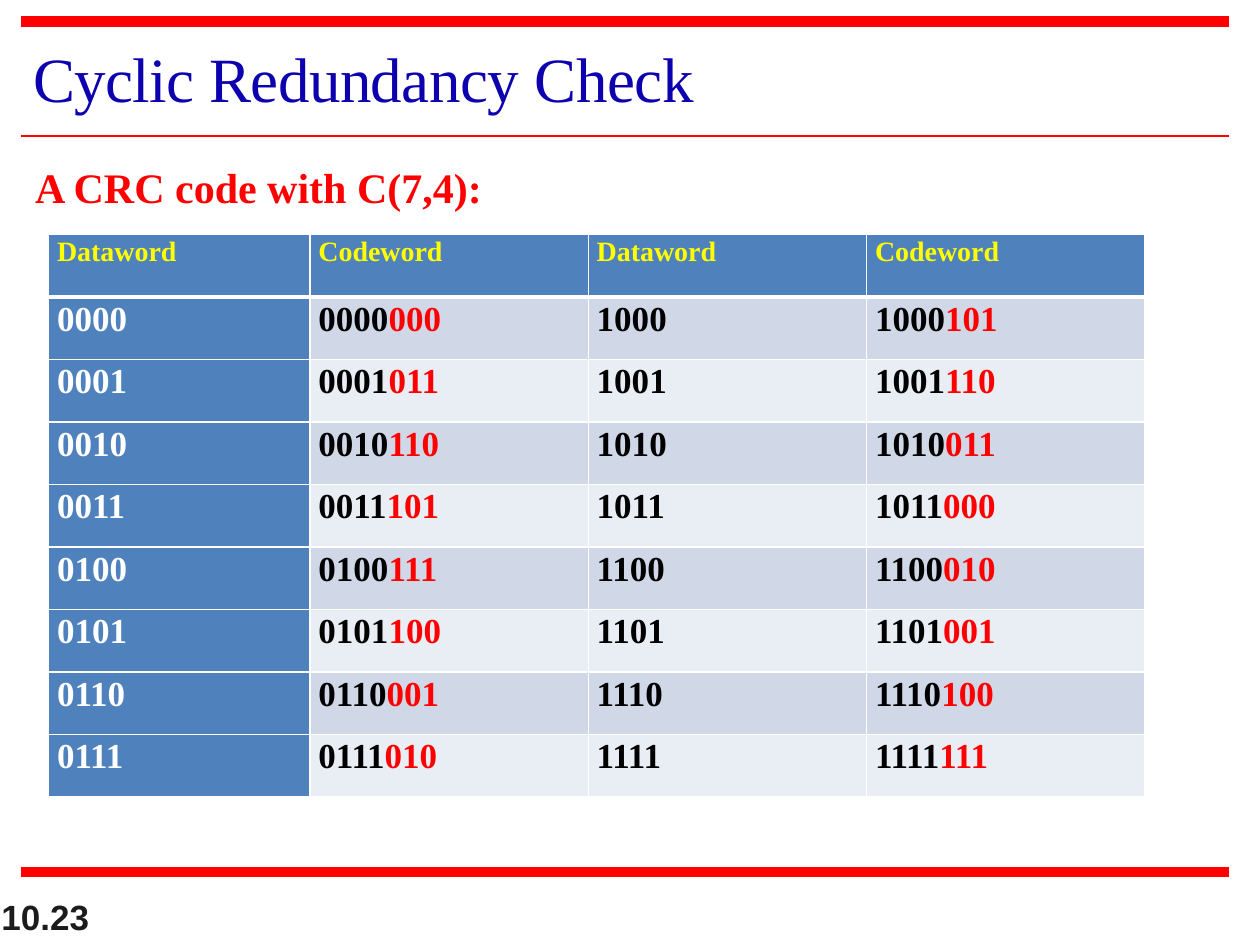
from lxml.etree import SubElement
from pptx import Presentation
from pptx.dml.color import RGBColor
from pptx.enum.shapes import MSO_CONNECTOR as Connector
from pptx.enum.text import MSO_ANCHOR as Anchor, MSO_AUTO_SIZE as AutoSize, PP_ALIGN as Align
from pptx.oxml.ns import qn
from pptx.util import Cm, Pt

RED = RGBColor(0xFF, 0x00, 0x00)
NAVY = RGBColor(0x0D, 0x00, 0xAE)
BLUE = RGBColor(0x4F, 0x81, 0xBD)
YELLOW = RGBColor(0xFF, 0xFF, 0x00)
WHITE = RGBColor(0xFF, 0xFF, 0xFF)
BLACK = RGBColor(0x00, 0x00, 0x00)
CHARCOAL = RGBColor(0x1C, 0x1C, 0x1C)
BANDS = (RGBColor(0xD0, 0xD8, 0xE8), RGBColor(0xE9, 0xED, 0xF4))

SERIF = "Times New Roman"
HEADINGS = ("Dataword", "Codeword") * 2
CHECK_BITS = (
    "000", "011", "110", "101", "111", "100", "001", "010",
    "101", "110", "011", "000", "010", "001", "100", "111",
)
HALF = len(CHECK_BITS) // 2


def add_run(paragraph, text, size, color, bold=True, font=SERIF, spacing=None):
    run = paragraph.add_run()
    run.text = text
    run.font.name = font
    run.font.size = Pt(size)
    run.font.bold = bold
    run.font.color.rgb = color
    if spacing is not None:
        run.font._element.set("spc", str(spacing))


def add_rule(slide, top, width):
    rule = slide.shapes.add_connector(Connector.STRAIGHT, Cm(0.43), Cm(top), Cm(24.77), Cm(top))
    rule.line.color.rgb = RED
    rule.line.width = Pt(width)
    SubElement(rule._element.spPr, qn("a:effectLst"))


def place(shape, left, top, width, height):
    shape.left, shape.top, shape.width, shape.height = map(Cm, (left, top, width, height))


def clear_margins(frame):
    frame.margin_left = frame.margin_top = frame.margin_right = frame.margin_bottom = 0


def add_title(slide):
    title = slide.shapes.title
    place(title, 0.64, 0.76, 13.97, 1.6)
    frame = title.text_frame
    clear_margins(frame)
    frame.margin_top = Cm(0.03)
    frame.vertical_anchor = Anchor.TOP
    frame.auto_size = AutoSize.NONE
    paragraph = frame.paragraphs[0]
    paragraph.alignment = Align.LEFT
    paragraph.space_before = Pt(1)
    paragraph._p.get_or_add_pPr().set("marL", str(Cm(0.03)))
    for text, spacing in (("Cyclic ", -40), ("Redundancy ", -30), ("Check", -20)):
        add_run(paragraph, text, 36, NAVY, bold=False, spacing=spacing)


def add_text_box(slide, left, top, width, height):
    box = slide.shapes.add_textbox(Cm(left), Cm(top), Cm(width), Cm(height))
    box.text_frame.word_wrap = True
    return box.text_frame


def add_subtitle(slide):
    paragraph = add_text_box(slide, 0.46, 3.07, 10.8, 1.3).paragraphs[0]
    paragraph.line_spacing = 1.07
    paragraph.space_after = Pt(8)
    add_run(paragraph, "A CRC code with C(7,4):", 24, RED)


def add_page_number(slide):
    frame = add_text_box(slide, 0, 18.08, 1.9, 0.86)
    clear_margins(frame)
    paragraph = frame.paragraphs[0]
    paragraph.line_spacing = Pt(23.1)
    paragraph._p.get_or_add_pPr().set("marL", str(Cm(0.03)))
    add_run(paragraph, "10.23", 20, CHARCOAL, font="Arial")


def set_borders(cell, widths):
    properties = cell._tc.get_or_add_tcPr()
    for side, width in zip("LRTB", widths):
        line = SubElement(properties, qn(f"a:ln{side}"), w=str(Pt(width)))
        fill = SubElement(line, qn("a:solidFill"))
        SubElement(fill, qn("a:srgbClr"), val=str(WHITE))


def fill_cell(cell, background, runs, size, borders=(1, 1, 1, 1)):
    set_borders(cell, borders)
    cell.fill.solid()
    cell.fill.fore_color.rgb = background
    cell.margin_left = cell.margin_right = Cm(0.17)
    cell.margin_top = cell.margin_bottom = 0
    paragraph = cell.text_frame.paragraphs[0]
    paragraph.line_spacing = 1.07
    for text, color in runs:
        add_run(paragraph, text, size, color)


def add_code_table(slide):
    table = slide.shapes.add_table(
        HALF + 1, len(HEADINGS), Cm(0.98), Cm(4.73), Cm(22.1), Cm(11.34)
    ).table
    table.first_row = table.horz_banding = False
    for column, width in zip(table.columns, (5.27, 5.61, 5.61, 5.61)):
        column.width = Cm(width)
    for row in table.rows:
        row.height = Cm(1.26)

    for column, heading in enumerate(HEADINGS):
        fill_cell(table.cell(0, column), BLUE, [(heading, YELLOW)], 16, (1, 1, 1, 3))

    for number, check in enumerate(CHECK_BITS):
        half, index = divmod(number, HALF)
        band = BANDS[index % 2]
        borders = (1, 1, 1 if index else 3, 1)
        dataword = f"{number:04b}"
        background, color = (band, BLACK) if half else (BLUE, WHITE)
        data_cell = table.cell(index + 1, 2 * half)
        code_cell = table.cell(index + 1, 2 * half + 1)
        fill_cell(data_cell, background, [(dataword, color)], 20, borders)
        fill_cell(code_cell, band, [(dataword, BLACK), (check, RED)], 20, borders)


def main():
    presentation = Presentation()
    presentation.slide_width = Cm(25.4)
    presentation.slide_height = Cm(19.05)
    slide = presentation.slides.add_slide(presentation.slide_layouts[5])
    for top, width in ((0.43, 6), (2.74, 1.5), (17.58, 6)):
        add_rule(slide, top, width)
    add_title(slide)
    add_page_number(slide)
    add_code_table(slide)
    add_subtitle(slide)
    presentation.save("out.pptx")


if __name__ == "__main__":
    main()
